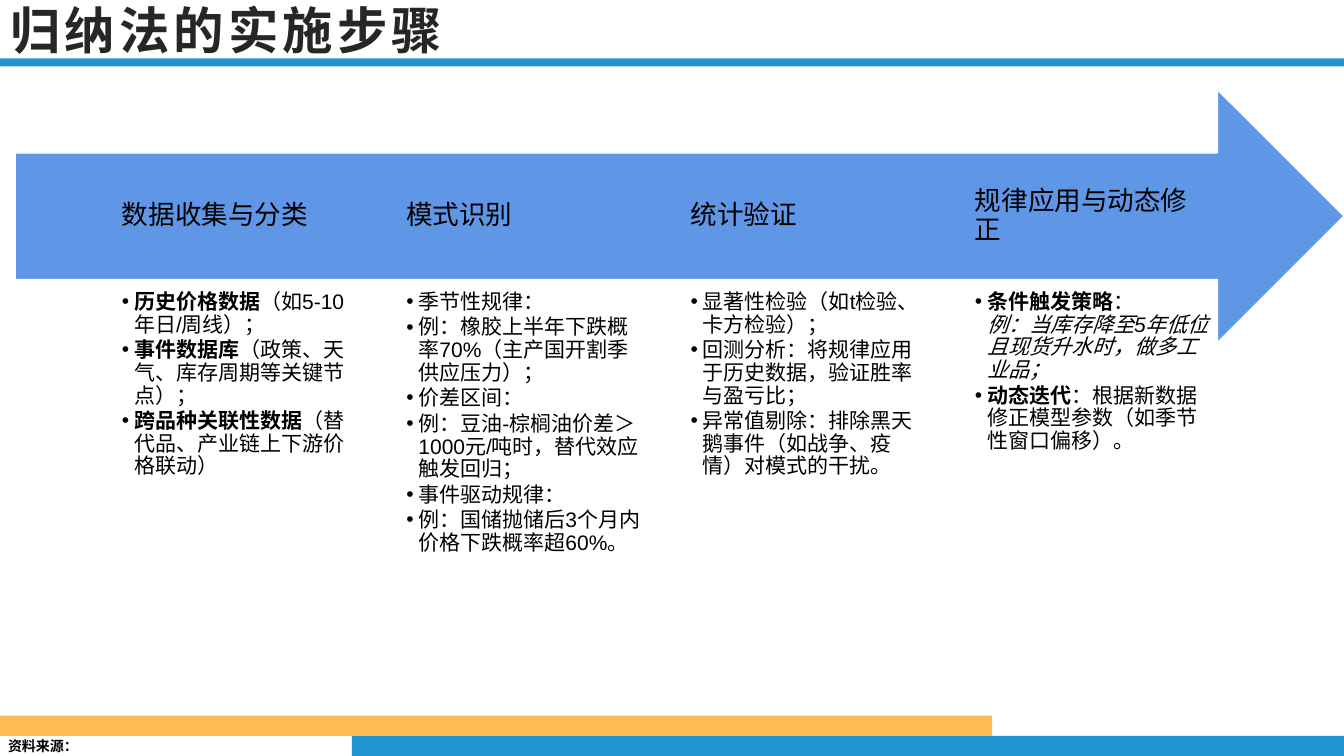
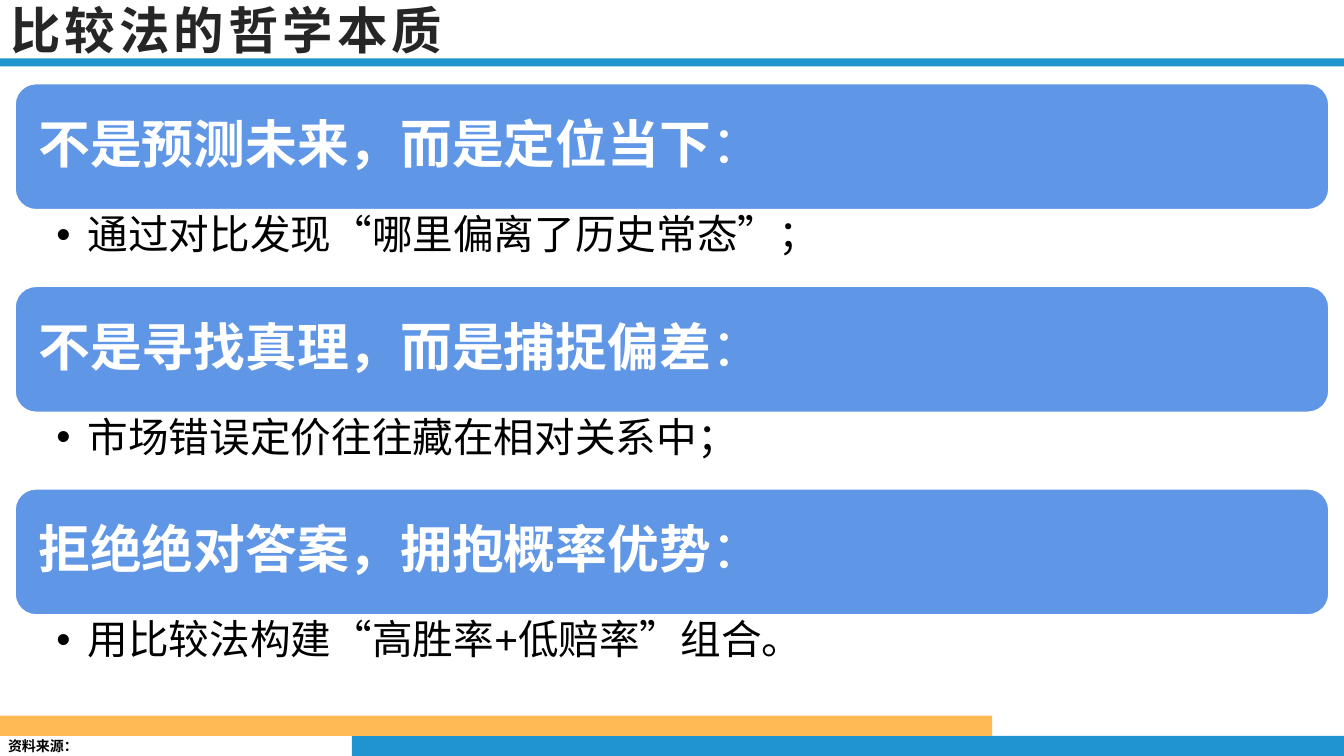
"""Build two slides on the steps of induction and the essence of comparison."""
from copy import deepcopy
from dataclasses import dataclass

from lxml import etree
from pptx import Presentation, util as u
from pptx.dml.color import RGBColor
from pptx.enum import shapes, text
from pptx.oxml import ns

PX = 9144
WIDTH, HEIGHT = 1333, 750
BAND_WIDTH, BAND_HEIGHT = 984, 20
COLUMN_LEFT, COLUMN_STEP, COLUMN_WIDTH = 121, 282, 235
BANNER_LEFT, BANNER_TOP, BANNER_STEP = 15, 83, 201
BANNER_WIDTH, BANNER_HEIGHT = 1303, 125


@dataclass(frozen=True)
class Theme:
    blue: str = "2094CE"
    orange: str = "FFBA55"
    panel: str = "6096E6"
    ink: str = "000000"
    title_ink: str = "262626"
    white: str = "FFFFFF"
    latin: str = "Arial"
    chinese: str = "Noto Sans CJK SC"
    title_size: int = 36
    banner_size: int = 37
    point_size: int = 29
    heading_size: int = 19
    list_size: int = 15
    footer_size: int = 10


THEME = Theme()

STEPS = [
    ("数据收集与分类", [
        [("历史价格数据", "b"), ("（如5-10年日/周线）；", "")],
        [("事件数据库", "b"), ("（政策、天气、库存周期等关键节点）；", "")],
        [("跨品种关联性数据", "b"), ("（替代品、产业链上下游价格联动）", "")],
    ]),
    ("模式识别", [
        "季节性规律：",
        "例：橡胶上半年下跌概率70%（主产国开割季供应压力）；",
        "价差区间：",
        "例：豆油-棕榈油价差＞1000元/吨时，替代效应触发回归；",
        "事件驱动规律：",
        "例：国储抛储后3个月内价格下跌概率超60%。",
    ]),
    ("统计验证", [
        "显著性检验（如t检验、卡方检验）；",
        "回测分析：将规律应用于历史数据，验证胜率与盈亏比；",
        "异常值剔除：排除黑天鹅事件（如战争、疫情）对模式的干扰。",
    ]),
    ("规律应用与动态修正", [
        [("条件触发策略", "b"), ("：\n", ""),
         ("例：当库存降至5年低位且现货升水时，做多工业品；", "i")],
        [("动态迭代", "b"), ("：根据新数据修正模型参数（如季节性窗口偏移）。", "")],
    ]),
]

PRINCIPLES = [
    ("不是预测未来，而是定位当下", "通过对比发现“哪里偏离了历史常态”；"),
    ("不是寻找真理，而是捕捉偏差", "市场错误定价往往藏在相对关系中；"),
    ("拒绝绝对答案，拥抱概率优势", "用比较法构建“高胜率+低赔率”组合。"),
]


def place(*lengths):
    """Turn px lengths into EMU."""
    return [u.Emu(length * PX) for length in lengths]


def add_span(para, words, style, size, colour, latin, tracking):
    """Add one formatted run, and a line break if the words end with one."""
    span = para.add_run()
    span.text = words.rstrip("\n")
    font = span.font
    font.size, font.name = u.Pt(size), latin
    font.bold, font.italic = "b" in style, "i" in style
    font.color.rgb = RGBColor.from_string(colour)
    props = span._r.get_or_add_rPr()
    props.set("lang", "zh-CN")
    if tracking:
        props.set("spc", str(tracking * 100))
    etree.SubElement(props, ns.qn("a:ea"), typeface=THEME.chinese)
    if words.endswith("\n"):
        para.add_line_break()
        para._p[-1].append(deepcopy(props))


def add_bullet(para, indent):
    """Give a paragraph a hanging round bullet."""
    props = para._p.get_or_add_pPr()
    props.set("marL", str(indent * PX))
    props.set("indent", str(-indent * PX))
    etree.SubElement(props, ns.qn("a:buFont"), typeface=THEME.latin)
    etree.SubElement(props, ns.qn("a:buChar"), char="•")


def write(box, paragraphs, *, size, colour=THEME.ink, latin=THEME.latin, style="",
          insets=(0, 0, 0, 0), anchor=text.MSO_ANCHOR.TOP, bullet=0,
          spacing=0.9, after=0, tracking=0):
    """Fill a shape with paragraphs, each a string or a list of styled spans."""
    frame = box.text_frame
    frame.word_wrap = True
    frame.auto_size = text.MSO_AUTO_SIZE.NONE
    frame.vertical_anchor = anchor
    (frame.margin_left, frame.margin_top,
     frame.margin_right, frame.margin_bottom) = place(*insets)
    for number, content in enumerate(paragraphs):
        para = frame.add_paragraph() if number else frame.paragraphs[0]
        para.alignment = text.PP_ALIGN.LEFT
        para.line_spacing = spacing
        para.space_after = u.Pt(after)
        if bullet:
            add_bullet(para, bullet)
        spans = [(content, style)] if isinstance(content, str) else content
        for words, span_style in spans:
            add_span(para, words, span_style, size, colour, latin, tracking)


def add_text(page, at, paragraphs, **form):
    """Add a text box."""
    write(page.shapes.add_textbox(*place(*at)), paragraphs, **form)


def add_panel(page, kind, at, fill, line=None):
    """Add a flat preset shape."""
    panel = page.shapes.add_shape(kind, *place(*at))
    panel.shadow.inherit = False
    panel.fill.solid()
    panel.fill.fore_color.rgb = RGBColor.from_string(fill)
    if line:
        panel.line.color.rgb = RGBColor.from_string(line)
        panel.line.width = u.Pt(1)
    else:
        panel.line.fill.background()
    return panel


def add_page(deck, title):
    """Add a slide with the shared bands, footer and title."""
    page = deck.slides.add_slide(deck.slide_layouts[5])
    bands = [
        ((WIDTH - BAND_WIDTH, HEIGHT - BAND_HEIGHT, BAND_WIDTH, BAND_HEIGHT), THEME.blue),
        ((0, HEIGHT - 2 * BAND_HEIGHT, BAND_WIDTH, BAND_HEIGHT), THEME.orange),
        ((0, 58, WIDTH, 8), THEME.blue),
    ]
    for at, fill in bands:
        add_panel(page, shapes.MSO_SHAPE.RECTANGLE, at, fill)
    add_text(page, (0, 727, 85, 27), ["资料来源："], size=THEME.footer_size,
             latin=THEME.chinese, style="b", insets=(8, 5, 0, 5), spacing=1)
    heading = page.shapes.title
    heading.left, heading.top, heading.width, heading.height = place(0, 0, 1144, 58)
    write(heading, [title], size=THEME.title_size, colour=THEME.title_ink,
          latin=THEME.chinese, style="b", insets=(10, 5, 10, 5),
          anchor=text.MSO_ANCHOR.MIDDLE, spacing=1, tracking=3)
    return page


def add_steps(page):
    """Draw the arrow and one column for each step."""
    add_panel(page, shapes.MSO_SHAPE.RIGHT_ARROW, (15, 89, 1318, 251),
              THEME.panel, THEME.white)
    for number, (heading, points) in enumerate(STEPS):
        left = COLUMN_LEFT + number * COLUMN_STEP
        add_text(page, (left, 152, COLUMN_WIDTH, 125), [heading],
                 size=THEME.heading_size, insets=(0, 21, 0, 21),
                 anchor=text.MSO_ANCHOR.MIDDLE)
        add_text(page, (left, 289, COLUMN_WIDTH, 390), points,
                 size=THEME.list_size, bullet=12, after=2)


def add_principles(page):
    """Draw a banner and its point for each principle."""
    for number, (heading, point) in enumerate(PRINCIPLES):
        top = BANNER_TOP + number * BANNER_STEP
        banner = add_panel(page, shapes.MSO_SHAPE.ROUNDED_RECTANGLE,
                           (BANNER_LEFT, top, BANNER_WIDTH, BANNER_HEIGHT),
                           THEME.panel, THEME.white)
        write(banner, [[(heading, "b"), ("：", "")]], size=THEME.banner_size,
              colour=THEME.white, insets=(17, 15, 17, 15),
              anchor=text.MSO_ANCHOR.MIDDLE)
        add_text(page, (BANNER_LEFT, top + BANNER_HEIGHT, BANNER_WIDTH, 75), [point],
                 size=THEME.point_size, insets=(41, 5, 29, 5), bullet=31)


def main():
    """Build and save the deck."""
    deck = Presentation()
    deck.slide_width, deck.slide_height = place(WIDTH, HEIGHT)
    add_steps(add_page(deck, "归纳法的实施步骤"))
    add_principles(add_page(deck, "比较法的哲学本质"))
    deck.save("out.pptx")


if __name__ == "__main__":
    main()
